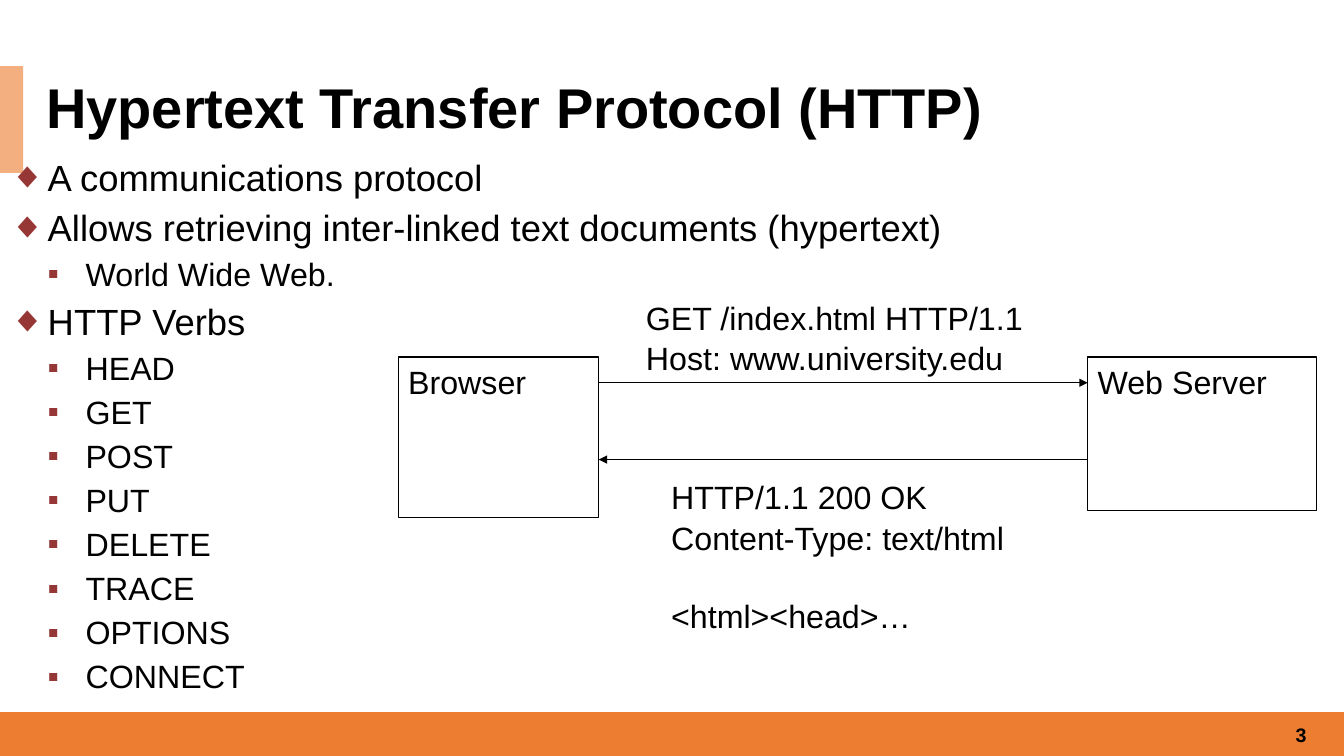
from lxml import etree
from pptx import Presentation
from pptx.dml.color import RGBColor
from pptx.enum import shapes, text
from pptx.oxml.ns import qn
from pptx.util import Pt

BLACK = "000000"


def color(value):
    return RGBColor.from_string(value)


def write(shape, lines, size, bold=False, before=0.0, anchor=text.MSO_ANCHOR.TOP):
    """Fill a shape with one left-aligned paragraph per line."""
    frame = shape.text_frame
    frame.word_wrap = True
    frame.vertical_anchor = anchor
    for index, line in enumerate(lines):
        paragraph = frame.add_paragraph() if index else frame.paragraphs[0]
        paragraph.alignment = text.PP_ALIGN.LEFT
        paragraph.space_before = Pt(before)
        run = paragraph.add_run()
        run.text = line
        run.font.name = "Arial"
        run.font.size = Pt(size)
        run.font.bold = bold
        run.font.color.rgb = color(BLACK)
    return frame.paragraphs


presentation = Presentation()
presentation.slide_width = Pt(960)
presentation.slide_height = Pt(540)
slide = presentation.slides.add_slide(presentation.slide_layouts[6])
items = slide.shapes

# Footer bar and title accent
for left, top, width, height, fill in [
    (0, 508.7, 960, 31.3, "ED7D31"),
    (0, 47.2, 16.5, 76.4, "F4AF80"),
]:
    bar = items.add_shape(shapes.MSO_SHAPE.RECTANGLE, Pt(left), Pt(top), Pt(width), Pt(height))
    bar.shadow.inherit = False
    bar.fill.solid()
    bar.fill.fore_color.rgb = color(fill)
    bar.line.fill.background()

# Title
title = items.add_textbox(Pt(26), Pt(53.3), Pt(934), Pt(51))
title_lines = write(title, ["Hypertext Transfer Protocol (HTTP)"], 40, True,
                    anchor=text.MSO_ANCHOR.MIDDLE)
title_lines[0].line_spacing = 0.9

# Bullet list: topics with their sub-items
topics = [
    ("A communications protocol", []),
    ("Allows retrieving inter-linked text documents (hypertext)", ["World Wide Web."]),
    ("HTTP Verbs",
     ["HEAD", "GET", "POST", "PUT", "DELETE", "TRACE", "OPTIONS", "CONNECT"]),
]
entries = []
for topic, details in topics:
    entries.append((topic, 0))
    entries += [(detail, 1) for detail in details]

body = items.add_textbox(Pt(0), Pt(104.4), Pt(960), Pt(402.5))
paragraphs = write(body, [entry for entry, level in entries], 26, before=1.3)
for paragraph, (entry, level) in zip(paragraphs, entries):
    paragraph.level = level
    paragraph.line_spacing = 1.1
    if level:
        paragraph.runs[0].font.size = Pt(23)
        paragraph.space_before = Pt(1.15)
    else:
        paragraph.alignment = text.PP_ALIGN.JUSTIFY
    properties = paragraph._p.get_or_add_pPr()
    properties.set("marL", str(Pt(27 * (level + 1))))
    properties.set("indent", str(-Pt(27)))
    bullet_color = etree.SubElement(properties, qn("a:buClr"))
    etree.SubElement(bullet_color, qn("a:srgbClr"), val=["973735", "963737"][level])
    etree.SubElement(properties, qn("a:buFont"), typeface="Arial")
    etree.SubElement(properties, qn("a:buChar"), char="◆▪"[level])

# Slide number
number = items.add_textbox(Pt(724.3), Pt(510.5), Pt(216), Pt(28.8))
number_lines = write(number, ["3"], 14, True, anchor=text.MSO_ANCHOR.MIDDLE)
number_lines[0].alignment = text.PP_ALIGN.RIGHT

# Browser and server boxes
for name, left, width, height in [
    ("Browser", 284.4, 143.3, 114.5),
    ("Web Server", 776.9, 163.4, 109.4),
]:
    box = items.add_shape(shapes.MSO_SHAPE.RECTANGLE, Pt(left), Pt(255), Pt(width), Pt(height))
    box.shadow.inherit = False
    box.fill.background()
    box.line.color.rgb = color(BLACK)
    box.line.width = Pt(0.75)
    write(box, [name], 23, before=1.15)

# Request and response arrows
for start, end, y in [(427.7, 776.9, 273.4), (776.9, 427.7, 328.3)]:
    arrow = items.add_connector(shapes.MSO_CONNECTOR.STRAIGHT, Pt(start), Pt(y), Pt(end), Pt(y))
    arrow.line.color.rgb = color(BLACK)
    arrow.line.width = Pt(0.75)
    etree.SubElement(arrow.line._get_or_add_ln(), qn("a:tailEnd"), type="triangle")
    etree.SubElement(arrow._element.spPr, qn("a:effectLst"))

# Request and response messages
request = items.add_textbox(Pt(454.3), Pt(209.5), Pt(286.6), Pt(121))
write(request, ["GET /index.html HTTP/1.1", "Host: www.university.edu"], 23, before=1.15)

response = items.add_textbox(Pt(472.3), Pt(337.7), Pt(298), Pt(121))
response_lines = write(
    response, ["HTTP/1.1 200 OK", "Content-Type: text/html", "<html><head>…"], 23, before=1.15)
response_lines[-1].space_before = Pt(28.7)

presentation.save("out.pptx")
